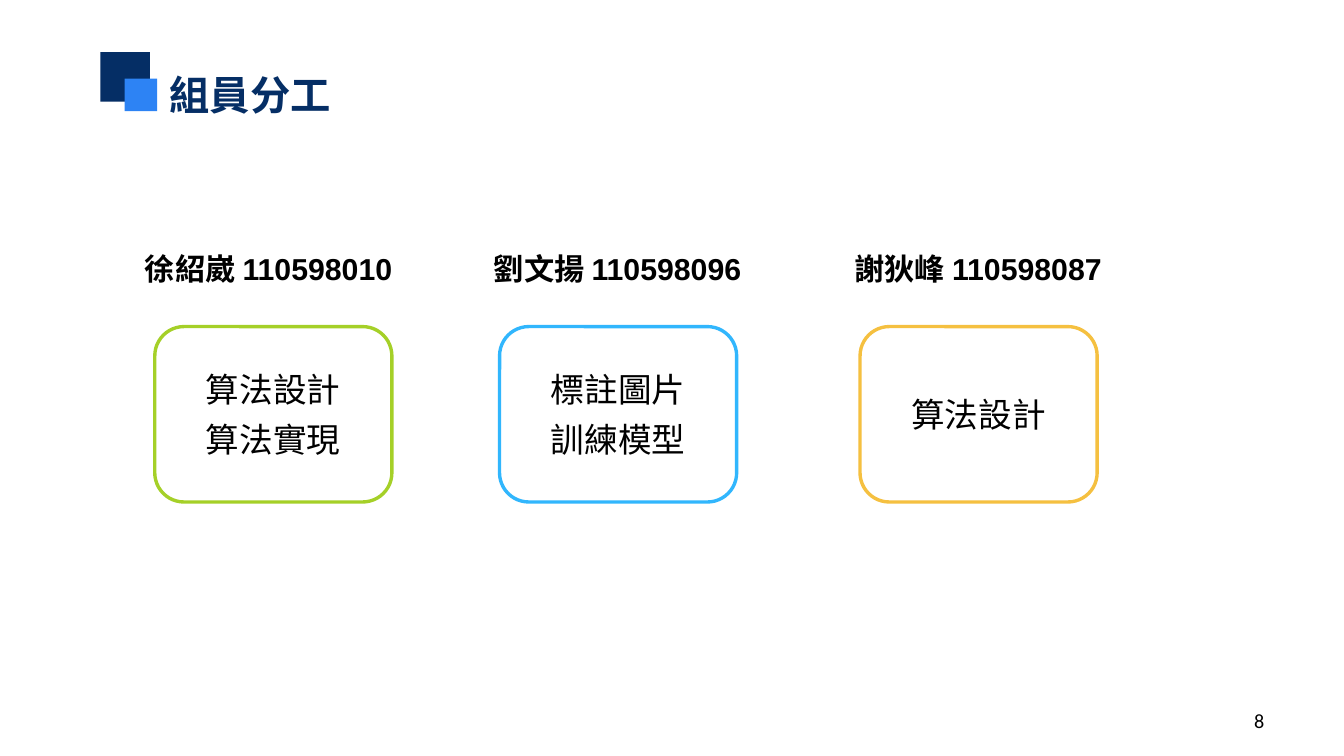
"""Build the team work-division slide."""
from dataclasses import dataclass

from lxml.etree import SubElement
from pptx import Presentation
from pptx.dml.color import RGBColor
from pptx.enum.shapes import MSO_SHAPE
from pptx.enum.text import MSO_ANCHOR, PP_ALIGN
from pptx.oxml.ns import qn
from pptx.shapes.autoshape import Shape
from pptx.slide import Slide
from pptx.util import Inches, Pt

COLORS = {
    "navy": "052E65", "blue": "2D83F4", "black": "000000", "white": "FFFFFF",
    "green": "A5D028", "sky": "31B6FD", "amber": "F5C040",
}
TITLE_FONT = {"name": "Noto Sans CJK SC", "size": Pt(24), "bold": True}
MEMBER_FONT = {"name": "Arial", "size": Pt(18), "bold": True}
TASK_FONT = {"name": "Calibri", "size": Pt(20)}
NUMBER_FONT = {"name": "Calibri", "size": Pt(12)}
CENTERED = {"alignment": PP_ALIGN.CENTER, "space_before": Pt(6)}


@dataclass
class Box:
    """Position and size in inches."""
    left: float
    top: float
    width: float
    height: float

    def lengths(self) -> tuple:
        """Return the four values as lengths."""
        return tuple(map(Inches, (self.left, self.top, self.width, self.height)))


@dataclass
class Member:
    """A team member with a column position and tasks."""
    label: str
    left: float
    color: str
    tasks: list[str]


@dataclass
class Square:
    """A decorative square beside the title."""
    left: float
    top: float
    side: float
    color: str


SQUARES = [Square(0.83, 0.43, 0.41, "navy"), Square(1.03, 0.65, 0.27, "blue")]
MEMBERS = [
    Member("徐紹崴 110598010 ", 0.83, "green", ["算法設計", "算法實現"]),
    Member("劉文揚 110598096", 3.68, "sky", ["標註圖片", "訓練模型"]),
    Member("謝狄峰 110598087", 6.66, "amber", ["算法設計"]),
]


def apply_format(target: object, values: dict) -> None:
    """Set each attribute from the format values."""
    for name, value in values.items():
        setattr(target, name, value)


def write_text(shape: Shape, lines: list[str], font: dict, layout: dict,
               color: str = "black", anchor: MSO_ANCHOR = MSO_ANCHOR.TOP) -> None:
    """Write one paragraph per line with a common format."""
    frame = shape.text_frame
    apply_format(frame, {"word_wrap": True, "vertical_anchor": anchor})
    frame.text = "\n".join(lines)
    for paragraph in frame.paragraphs:
        apply_format(paragraph, layout)
        for run in paragraph.runs:
            apply_format(run.font, font)
            run.font.color.rgb = RGBColor.from_string(COLORS[color])


def add_panel(slide: Slide, kind: MSO_SHAPE, box: Box, fill: str,
              line: str | None = None) -> Shape:
    """Add a flat filled shape with an optional outline."""
    shape = slide.shapes.add_shape(kind, *box.lengths())
    shape.shadow.inherit = False
    shape.fill.solid()
    shape.fill.fore_color.rgb = RGBColor.from_string(COLORS[fill])
    if line:
        shape.line.color.rgb = RGBColor.from_string(COLORS[line])
        shape.line.width = Pt(2)
    else:
        shape.line.fill.background()
    return shape


def format_title(slide: Slide) -> None:
    """Place and format the title placeholder."""
    title = slide.shapes.title
    names = ("left", "top", "width", "height")
    apply_format(title, dict(zip(names, Box(1.3, 0.53, 5.35, 0.5).lengths())))
    write_text(title, ["組員分工"], TITLE_FONT, {"alignment": PP_ALIGN.LEFT}, "navy")
    properties = title.text_frame.paragraphs[0].runs[0].font._element
    SubElement(properties, qn("a:ea"), typeface=TITLE_FONT["name"])


def add_member(slide: Slide, member: Member) -> None:
    """Add a member label above its task panel."""
    label = slide.shapes.add_textbox(*Box(member.left, 2.02, 2.85, 0.4).lengths())
    write_text(label, [member.label], MEMBER_FONT, CENTERED)
    panel = add_panel(slide, MSO_SHAPE.ROUNDED_RECTANGLE,
                      Box(member.left + 0.45, 2.7, 1.96, 1.45), "white", member.color)
    write_text(panel, member.tasks, TASK_FONT, CENTERED, anchor=MSO_ANCHOR.MIDDLE)


def main() -> None:
    """Create and save the presentation."""
    presentation = Presentation()
    apply_format(presentation, {"slide_width": Inches(11.11), "slide_height": Inches(6.25)})
    slide = presentation.slides.add_slide(presentation.slide_layouts[5])
    format_title(slide)
    for square in SQUARES:
        box = Box(square.left, square.top, square.side, square.side)
        add_panel(slide, MSO_SHAPE.RECTANGLE, box, square.color)
    number = slide.shapes.add_textbox(*Box(7.96, 5.79, 2.59, 0.33).lengths())
    write_text(number, ["8"], NUMBER_FONT, {"alignment": PP_ALIGN.RIGHT},
               anchor=MSO_ANCHOR.MIDDLE)
    for member in MEMBERS:
        add_member(slide, member)
    presentation.save("out.pptx")


if __name__ == "__main__":
    main()
